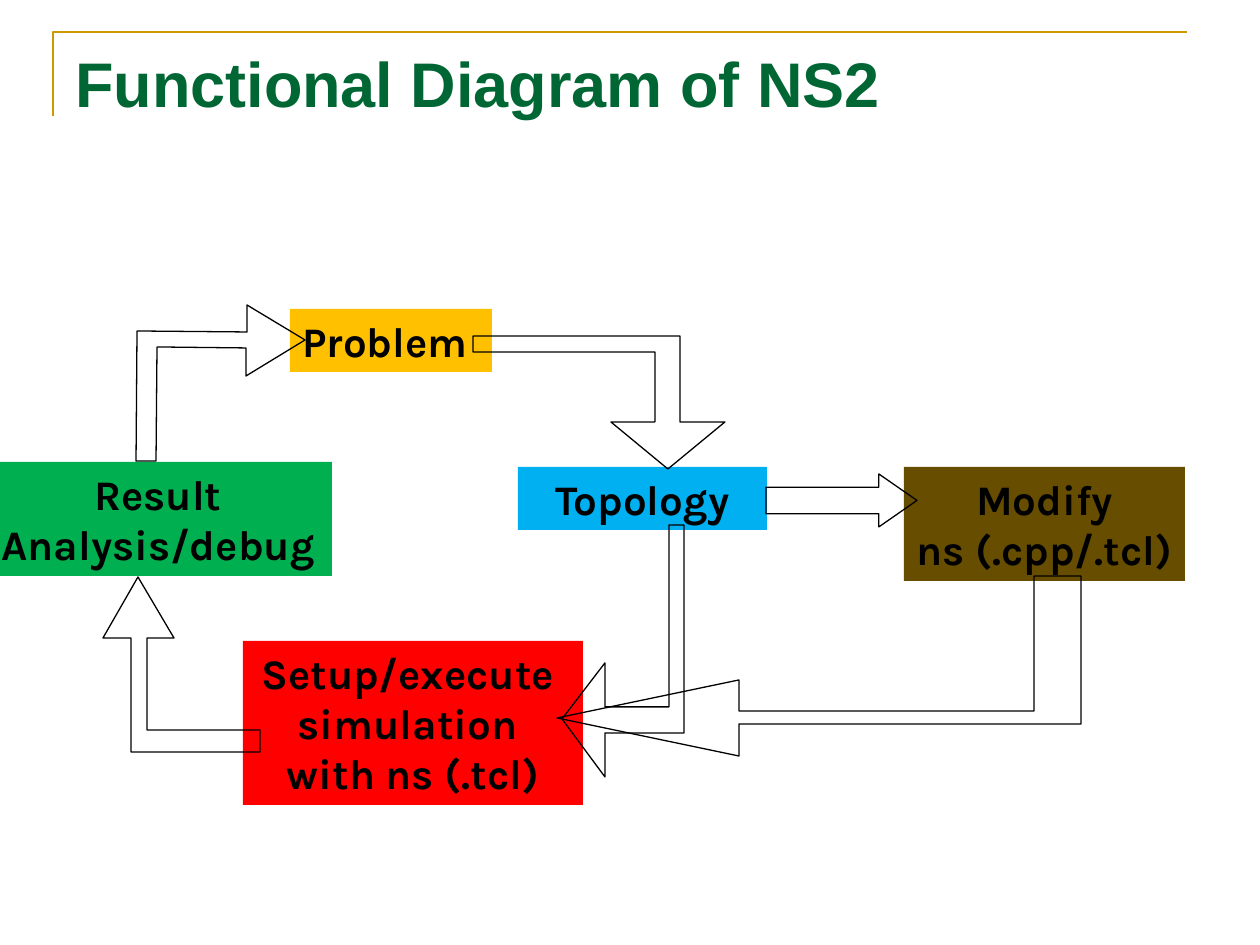
from dataclasses import dataclass

from pptx import Presentation
from pptx.dml.color import RGBColor
from pptx.enum.shapes import MSO_SHAPE
from pptx.enum.text import MSO_ANCHOR, MSO_AUTO_SIZE, PP_ALIGN
from pptx.util import Emu, Pt

EMU_PER_PX = 914400 / 126


def px(length):
    return Emu(round(length * EMU_PER_PX))


@dataclass(frozen=True)
class Theme:
    title_color: str = "006633"
    text_color: str = "000000"
    bracket_color: str = "CC9900"
    arrow_color: str = "000000"
    problem: str = "FFC000"
    topology: str = "00B0F0"
    simulation: str = "FF0000"
    result: str = "00B050"
    modify: str = "664D00"
    title_font: str = "Arial"
    box_font: str = "Karla"
    title_size: int = 36
    box_size: int = 24
    bracket_width: float = 1.5
    arrow_width: float = 0.75


def write_text(shape, text, *, font, size, color, align=PP_ALIGN.CENTER,
               wrap=False, fit=MSO_AUTO_SIZE.NONE):
    frame = shape.text_frame
    frame.word_wrap = wrap
    frame.auto_size = fit
    frame.vertical_anchor = MSO_ANCHOR.TOP
    for index, line in enumerate(text.split("\n")):
        para = frame.paragraphs[0] if index == 0 else frame.add_paragraph()
        para.alignment = align
        span = para.add_run()
        span.text = line
        span.font.name = font
        span.font.size = Pt(size)
        span.font.bold = True
        span.font.color.rgb = RGBColor.from_string(color)


class DiagramPage:
    def __init__(self, page, theme):
        self.page = page
        self.theme = theme

    def outline(self, shape, color, width):
        shape.shadow.inherit = False
        shape.fill.background()
        shape.line.color.rgb = RGBColor.from_string(color)
        shape.line.width = Pt(width)

    def freeform(self, points, closed, color, width):
        start, *rest = points
        builder = self.page.shapes.build_freeform(*start, scale=EMU_PER_PX)
        builder.add_line_segments(rest, close=closed)
        self.outline(builder.convert_to_shape(), color, width)

    def bracket(self, points):
        self.freeform(points, False, self.theme.bracket_color, self.theme.bracket_width)

    def bent_arrow(self, points):
        self.freeform(points, True, self.theme.arrow_color, self.theme.arrow_width)

    def right_arrow(self, left, top, width, height):
        arrow = self.page.shapes.add_shape(
            MSO_SHAPE.RIGHT_ARROW, px(left), px(top), px(width), px(height))
        arrow.adjustments[0] = 0.5
        arrow.adjustments[1] = 0.72
        self.outline(arrow, self.theme.arrow_color, self.theme.arrow_width)

    def title(self, text, left, top, width, height):
        box = self.page.shapes.add_textbox(px(left), px(top), px(width), px(height))
        write_text(box, text, font=self.theme.title_font, size=self.theme.title_size,
                   color=self.theme.title_color, align=PP_ALIGN.LEFT, wrap=True)

    def step(self, text, left, top, width, height, fill, **text_format):
        box = self.page.shapes.add_shape(
            MSO_SHAPE.RECTANGLE, px(left), px(top), px(width), px(height))
        box.shadow.inherit = False
        box.fill.solid()
        box.fill.fore_color.rgb = RGBColor.from_string(fill)
        box.line.fill.background()
        write_text(box, text, font=self.theme.box_font, size=self.theme.box_size,
                   color=self.theme.text_color, fit=MSO_AUTO_SIZE.SHAPE_TO_FIT_TEXT,
                   **text_format)


def main():
    deck = Presentation()
    deck.slide_width, deck.slide_height = px(1260), px(945)
    theme = Theme()
    diagram = DiagramPage(deck.slides.add_slide(deck.slide_layouts[6]), theme)

    # Heading
    diagram.bracket([(53, 116), (53, 32), (1187, 32)])
    diagram.title("Functional Diagram of NS2", 63, 38, 1134, 158)

    # Steps
    diagram.step("Problem", 290, 309, 202, 63, theme.problem, align=PP_ALIGN.LEFT)
    diagram.step("Topology", 518, 467, 249, 63, theme.topology, wrap=True)
    diagram.step("Setup/execute \nsimulation \nwith ns (.tcl)",
                 243, 641, 340, 164, theme.simulation)
    diagram.step("Result\nAnalysis/debug", -16, 462, 348, 114, theme.result)
    diagram.step("Modify\nns (.cpp/.tcl)", 904, 467, 281, 114, theme.modify)

    # Bent arrows, each outlined from its tip
    simulation_to_result = [(138, 577), (174, 638), (147, 638), (147, 730), (260, 730),
                            (260, 752), (131, 752), (131, 638), (103, 638)]
    problem_to_topology = [(668, 469), (611, 422), (655, 422), (655, 352), (473, 352),
                           (473, 336), (680, 336), (680, 422), (725, 422)]
    result_to_problem = [(305, 340), (246, 376), (246, 348), (157, 347), (156, 461),
                         (136, 461), (137, 331), (247, 332), (247, 305)]
    topology_to_simulation = [(562, 719), (605, 663), (605, 707), (669, 707), (669, 525),
                              (684, 525), (684, 733), (605, 733), (605, 777)]
    modify_to_simulation = [(557, 718), (739, 680), (739, 711), (1034, 711), (1034, 576),
                            (1081, 576), (1081, 724), (739, 724), (739, 756)]
    for points in (simulation_to_result, problem_to_topology, result_to_problem,
                   topology_to_simulation, modify_to_simulation):
        diagram.bent_arrow(points)

    # Topology to Modify
    diagram.right_arrow(766, 474, 151, 53)

    deck.save("out.pptx")


if __name__ == "__main__":
    main()
